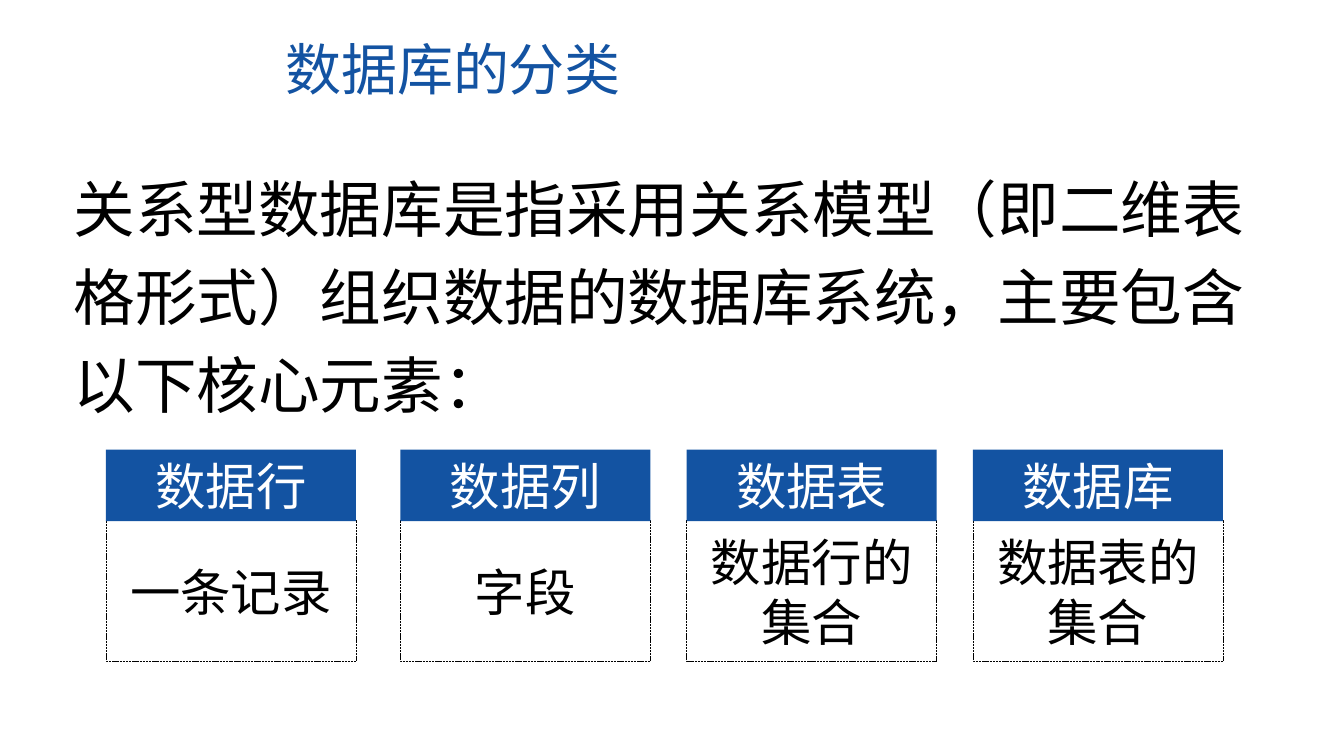
import pptx
import pptx.dml.color
import pptx.enum.dml
import pptx.enum.shapes
import pptx.enum.text
import pptx.oxml.ns
import pptx.util


def color(hex_string):
    return pptx.dml.color.RGBColor.from_string(hex_string)


class SlideBuilder:
    """Draw styled elements on a slide whose grid cells are a tenth of an inch."""

    font = "Noto Sans CJK SC"
    blue, black, white = "1353A2", "000000", "FFFFFF"
    cell = pptx.util.Inches(0.1)
    columns, rows = 133.3, 75

    def __init__(self, presentation):
        presentation.slide_width = self.length(self.columns)
        presentation.slide_height = self.length(self.rows)
        self.slide = presentation.slides.add_slide(presentation.slide_layouts[6])

    def length(self, cells):
        return pptx.util.Emu(round(cells * self.cell))

    def box(self, *area):
        return [self.length(cells) for cells in area]

    def fill_text(self, shape, text, size, hex_string, centered, spacing):
        frame = shape.text_frame
        frame.word_wrap = True
        frame.vertical_anchor = pptx.enum.text.MSO_ANCHOR.MIDDLE
        frame.text = text
        paragraph = frame.paragraphs[0]
        alignment = pptx.enum.text.PP_ALIGN
        paragraph.alignment = alignment.CENTER if centered else alignment.LEFT
        paragraph.line_spacing = pptx.util.Pt(size * spacing)
        run = paragraph.runs[0]
        run.font.name = self.font
        run.font.size = pptx.util.Pt(size)
        run.font.color.rgb = color(hex_string)
        properties = run._r.get_or_add_rPr()
        east_asian = properties.makeelement(
            pptx.oxml.ns.qn("a:ea"), {"typeface": self.font})
        properties.append(east_asian)

    def text(self, text, area, size, hex_string, centered=False, spacing=1.2):
        shape = self.slide.shapes.add_textbox(*self.box(*area))
        self.fill_text(shape, text, size, hex_string, centered, spacing)

    def rectangle(self, area):
        shape = self.slide.shapes.add_shape(
            pptx.enum.shapes.MSO_SHAPE.RECTANGLE, *self.box(*area))
        shape.shadow.inherit = False
        return shape

    def frame(self, area):
        shape = self.rectangle(area)
        shape.fill.background()
        shape.line.color.rgb = color(self.black)
        shape.line.width = pptx.util.Pt(0.5)
        shape.line.dash_style = pptx.enum.dml.MSO_LINE.SQUARE_DOT

    def header(self, text, area):
        shape = self.rectangle(area)
        shape.fill.solid()
        shape.fill.fore_color.rgb = color(self.blue)
        shape.line.fill.background()
        self.fill_text(shape, text, 36, self.white, True, 1.2)

    def card(self, left, name, meaning):
        width, header_top, header_height = 24.8, 44.6, 7.1
        body_top, body_height = 51.6, 14
        self.frame((left, body_top, width, body_height))
        self.text(meaning, (left + 0.75, body_top + 0.5, 23.3, body_height - 0.9),
                  36, self.black, centered=True)
        self.header(name, (left, header_top, width, header_height))


def main():
    presentation = pptx.Presentation()
    builder = SlideBuilder(presentation)
    builder.text("数据库的分类", (27.3, 2.9, 58.8, 7.7), 40, builder.blue)
    builder.text("关系型数据库是指采用关系模型（即二维表格形式）组织数据的数据库系统，主要包含以下核心元素：",
                 (6.3, 14.8, 120.3, 27.7), 44, builder.black, spacing=1.43)
    cards = [
        (10.5, "数据行", "一条记录"),
        (39.7, "数据列", "字段"),
        (68.1, "数据表", "数据行的集合"),
        (96.5, "数据库", "数据表的集合"),
    ]
    for left, name, meaning in cards:
        builder.card(left, name, meaning)
    presentation.save("out.pptx")


if __name__ == "__main__":
    main()
